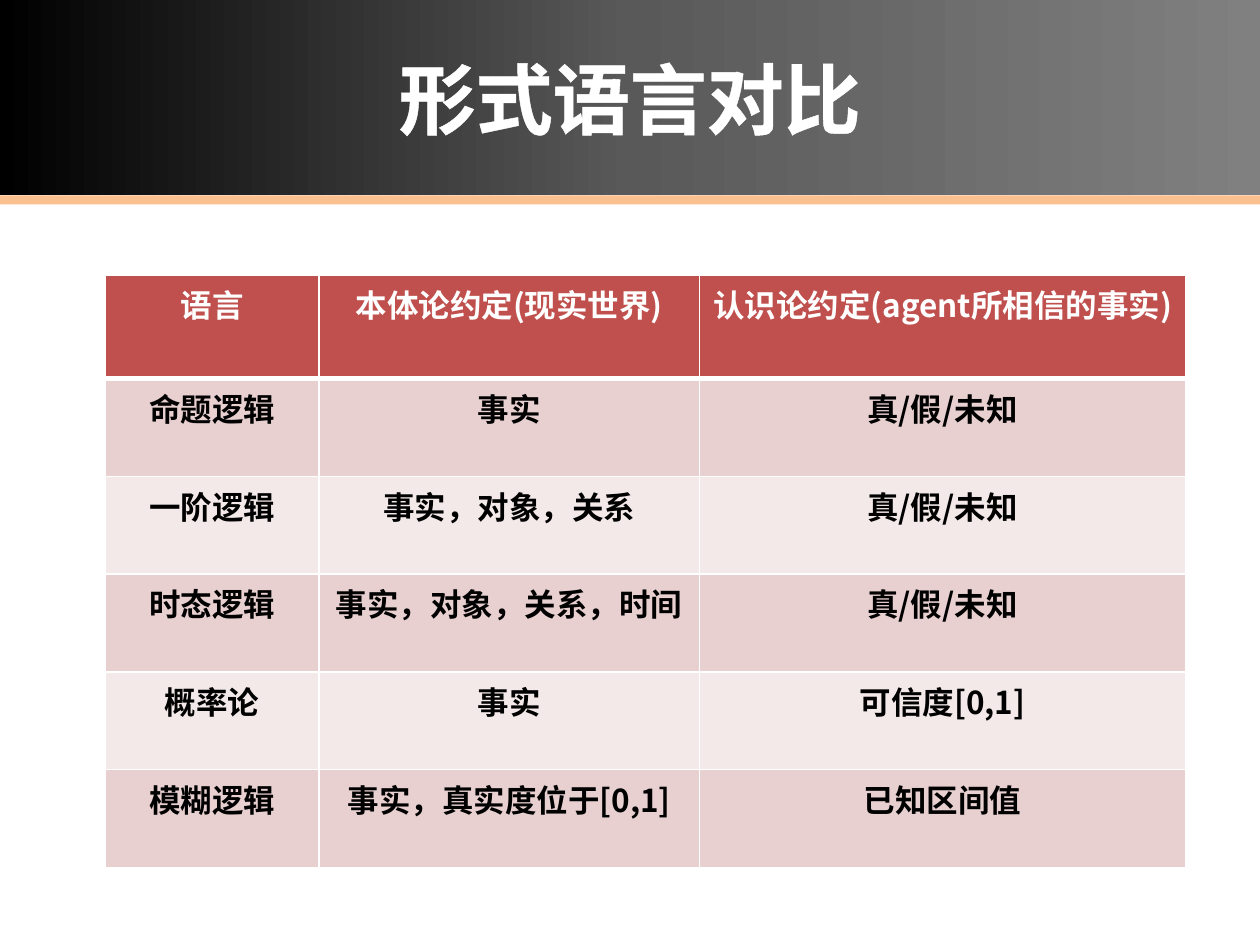
import copy

import lxml.etree
import pptx
import pptx.dml.color
import pptx.enum.shapes
import pptx.enum.text
import pptx.oxml.ns
import pptx.util

Cm = pptx.util.Cm
Pt = pptx.util.Pt
RGBColor = pptx.dml.color.RGBColor
qn = pptx.oxml.ns.qn

WHITE = RGBColor(0xFF, 0xFF, 0xFF)
BLACK = RGBColor(0x00, 0x00, 0x00)
DARK_GRAY = RGBColor(0x59, 0x59, 0x59)
GRAY = RGBColor(0x80, 0x80, 0x80)
ORANGE = RGBColor(0xFA, 0xC0, 0x90)
RED = RGBColor(0xC0, 0x50, 0x4D)
PINK = RGBColor(0xE8, 0xD0, 0xD0)
PALE_PINK = RGBColor(0xF4, 0xE9, 0xE9)

COMPARISON = [
    ("语言", "本体论约定(现实世界)", "认识论约定(agent所相信的事实)"),
    ("命题逻辑", "事实", "真/假/未知"),
    ("一阶逻辑", "事实，对象，关系", "真/假/未知"),
    ("时态逻辑", "事实，对象，关系，时间", "真/假/未知"),
    ("概率论", "事实", "可信度[0,1]"),
    ("模糊逻辑", "事实，真实度位于[0,1]", "已知区间值"),
]


def add_line(parent, tag, color, width):
    line = lxml.etree.SubElement(parent, qn(tag), w=str(Pt(width)))
    fill = lxml.etree.SubElement(line, qn("a:solidFill"))
    lxml.etree.SubElement(fill, qn("a:srgbClr"), val=str(color))
    return line


def write_text(text_frame, text, *, font, size, color, bold=True, outline=None):
    paragraph = text_frame.paragraphs[0]
    paragraph.alignment = pptx.enum.text.PP_ALIGN.CENTER
    run = paragraph.add_run()
    run.text = text
    properties = run._r.get_or_add_rPr()
    if outline:
        add_line(properties, "a:ln", color, outline)
    run.font.size = Pt(size)
    run.font.bold = bold
    run.font.color.rgb = color
    run.font.name = font
    lxml.etree.SubElement(properties, qn("a:ea"), typeface=font)


class SlideBuilder:
    font = "Noto Sans CJK SC"

    def __init__(self, presentation):
        self.slide = presentation.slides.add_slide(presentation.slide_layouts[5])

    def add_bar(self, left, top, width, height, color):
        shape = self.slide.shapes.add_shape(
            pptx.enum.shapes.MSO_SHAPE.RECTANGLE, left, top, width, height)
        shape.shadow.inherit = False
        shape.fill.solid()
        shape.fill.fore_color.rgb = color
        shape.line.fill.background()

    def add_title(self, text, width, height, colors):
        title = self.slide.shapes.title
        title.left, title.top, title.width, title.height = 0, 0, width, height
        title.fill.gradient()
        title.fill.gradient_angle = 0
        stop_list = title._element.spPr.find(qn("a:gradFill")).find(qn("a:gsLst"))
        stop_list.insert(1, copy.deepcopy(stop_list[0]))
        for index, (stop, color) in enumerate(zip(title.fill.gradient_stops, colors)):
            stop.position = index / (len(colors) - 1)
            stop.color.rgb = color
        title.text_frame.vertical_anchor = pptx.enum.text.MSO_ANCHOR.MIDDLE
        write_text(title.text_frame, text, font=self.font, size=44, color=WHITE, outline=1.45)

    def add_table(self, rows, left, top, column_widths, row_height):
        table = self.slide.shapes.add_table(
            len(rows), len(column_widths), left, top,
            sum(column_widths), row_height * len(rows)).table
        for column, width in zip(table.columns, column_widths):
            column.width = width
        for row_index, row in enumerate(rows):
            table.rows[row_index].height = row_height
            is_header = row_index == 0
            fill = RED if is_header else (PALE_PINK, PINK)[row_index % 2]
            for column_index, text in enumerate(row):
                cell = table.cell(row_index, column_index)
                self.add_borders(cell, top=3 if row_index == 1 else 1,
                                 bottom=3 if is_header else 1)
                cell.fill.solid()
                cell.fill.fore_color.rgb = fill
                write_text(cell.text_frame, text, font=self.font, size=18,
                           color=WHITE if is_header else BLACK)

    def add_borders(self, cell, top, bottom):
        properties = cell._tc.get_or_add_tcPr()
        for side, width in zip("LRTB", (1, 1, top, bottom)):
            add_line(properties, f"a:ln{side}", WHITE, width)


def main():
    presentation = pptx.Presentation()
    presentation.slide_width = Cm(25.4)
    presentation.slide_height = Cm(19.05)
    builder = SlideBuilder(presentation)
    builder.add_bar(0, Cm(3.94), presentation.slide_width, Cm(0.18), ORANGE)
    builder.add_title("形式语言对比", presentation.slide_width, Cm(3.94),
                      (BLACK, DARK_GRAY, GRAY))
    builder.add_table(COMPARISON, Cm(2.12), Cm(5.54),
                      (Cm(4.31), Cm(7.67), Cm(9.8)), Cm(1.97))
    presentation.save("out.pptx")


if __name__ == "__main__":
    main()
